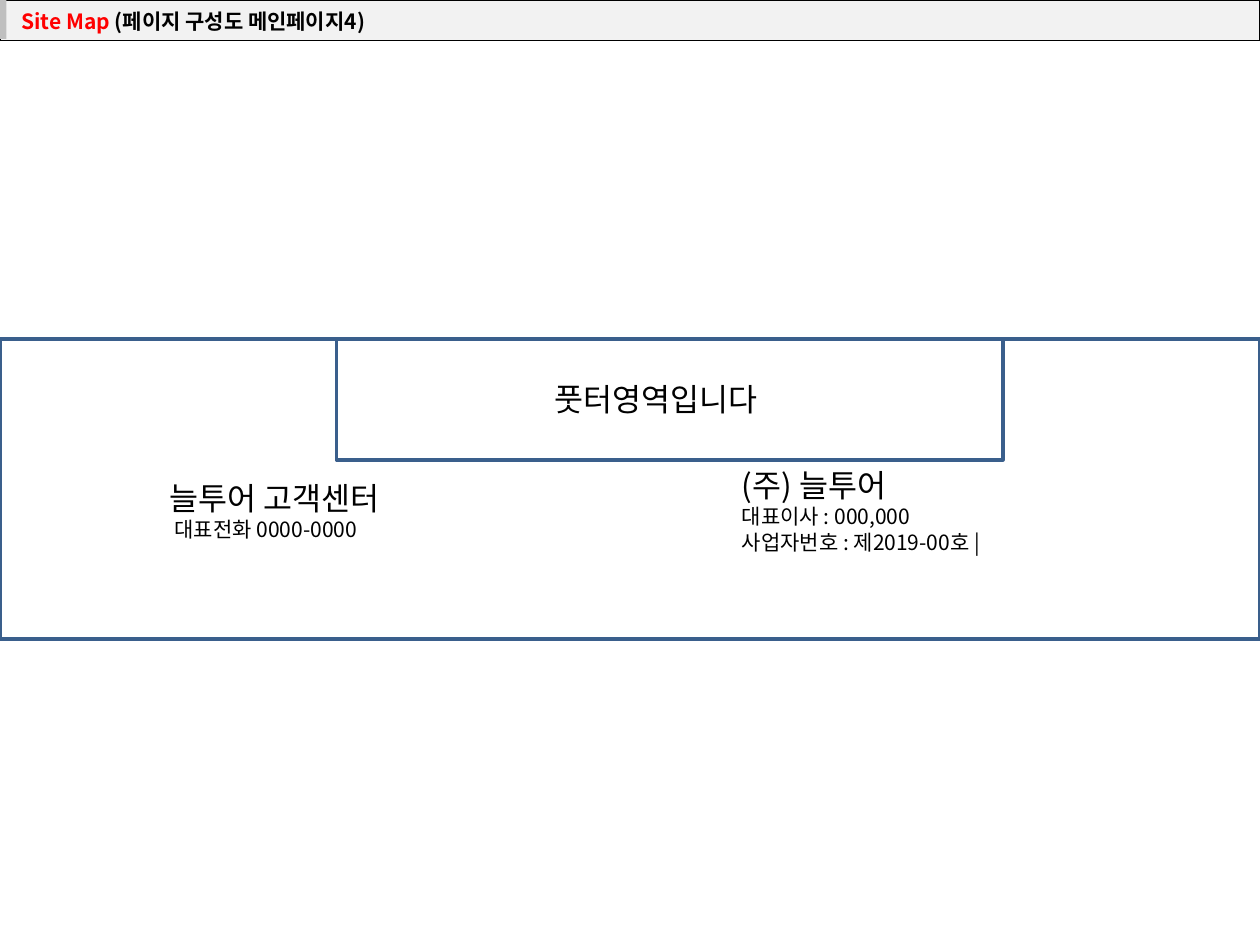
from lxml import etree
from pptx import Presentation
from pptx.dml.color import RGBColor
from pptx.enum import shapes, text
from pptx.oxml import ns
from pptx.util import Inches, Pt

FONT = "Noto Sans CJK KR"
BLACK = RGBColor(0x00, 0x00, 0x00)
WHITE = RGBColor(0xFF, 0xFF, 0xFF)
RED = RGBColor(0xFF, 0x00, 0x00)
PALE = RGBColor(0xF2, 0xF2, 0xF2)
GRAY = RGBColor(0xBF, 0xBF, 0xBF)
BLUE = RGBColor(0x3A, 0x5F, 0x8C)

TITLE = [("Site Map ", RED), ("(페이지 구성도 메인페이지4)", BLACK)]
HEADER = (0, 0, 10, 0.32)
HEADER_TAB = (0, 0, 0.05, 0.31)
FOOTER_LABEL = (2.67, 2.69, 5.29, 0.96)
FOOTER_AREA = (0, 2.69, 10, 2.38)
LABEL = ((4.3, 2.97, 1.95, 0.4), [("풋터영역입니다", 18)])
CONTACTS = [
    ((1.25, 3.75, 2.03, 0.9),
     [("늘투어 고객센터", 18), (" 대표전화 0000-0000", 12)]),
    ((5.79, 3.65, 2.94, 0.8),
     [("(주) 늘투어", 18), ("대표이사 : 000,000", 12),
      ("사업자번호 : 제2019-00호 |", 12)]),
]


def add_run(p, words, size, color=BLACK, bold=False):
    r = p.add_run()
    r.text = words
    f = r.font
    f.name, f.size, f.bold = FONT, Pt(size), bold
    f.color.rgb = color
    ea = etree.SubElement(r._r.get_or_add_rPr(), ns.qn("a:ea"))
    ea.set("typeface", FONT)


def fill_text(sp, lines, wrap=True):
    tf = sp.text_frame
    tf.word_wrap = wrap
    tf.auto_size = text.MSO_AUTO_SIZE.SHAPE_TO_FIT_TEXT
    for i, (words, size) in enumerate(lines):
        p = tf.add_paragraph() if i else tf.paragraphs[0]
        p.alignment = text.PP_ALIGN.LEFT
        add_run(p, words, size)


def add_rect(s, box, fill=None, line=None, width=2):
    sp = s.shapes.add_shape(shapes.MSO_SHAPE.RECTANGLE, *map(Inches, box))
    sp.shadow.inherit = False
    if fill is None:
        sp.fill.background()
    else:
        sp.fill.solid()
        sp.fill.fore_color.rgb = fill
    if line is None:
        sp.line.fill.background()
    else:
        sp.line.color.rgb = line
        sp.line.width = Pt(width)
    return sp


def add_borders(cell, color, width):
    tc_pr = cell._tc.get_or_add_tcPr()
    for i, side in enumerate(("lnL", "lnR", "lnT", "lnB")):
        ln = etree.Element(ns.qn(f"a:{side}"), w=str(Pt(width)))
        solid = etree.SubElement(ln, ns.qn("a:solidFill"))
        etree.SubElement(solid, ns.qn("a:srgbClr"), val=str(color))
        tc_pr.insert(i, ln)


def add_header(s):
    table = s.shapes.add_table(1, 1, *map(Inches, HEADER)).table
    cell = table.cell(0, 0)
    cell.fill.solid()
    cell.fill.fore_color.rgb = PALE
    cell.vertical_anchor = text.MSO_ANCHOR.MIDDLE
    cell.margin_left = Inches(0.17)
    cell.margin_top = cell.margin_bottom = Inches(0.03)
    for words, color in TITLE:
        add_run(cell.text_frame.paragraphs[0], words, 12, color, True)
    add_borders(cell, BLACK, 1)


def main():
    prs = Presentation()
    prs.slide_width, prs.slide_height = Inches(10), Inches(7.5)
    s = prs.slides.add_slide(prs.slide_layouts[6])
    add_header(s)
    add_rect(s, HEADER_TAB, fill=GRAY)
    add_rect(s, FOOTER_LABEL, line=BLUE)
    box, lines = LABEL
    fill_text(add_rect(s, box, line=WHITE, width=0.75), lines, wrap=False)
    add_rect(s, FOOTER_AREA, line=BLUE)
    for box, lines in CONTACTS:
        fill_text(s.shapes.add_textbox(*map(Inches, box)), lines)
    prs.save("out.pptx")


if __name__ == "__main__":
    main()
